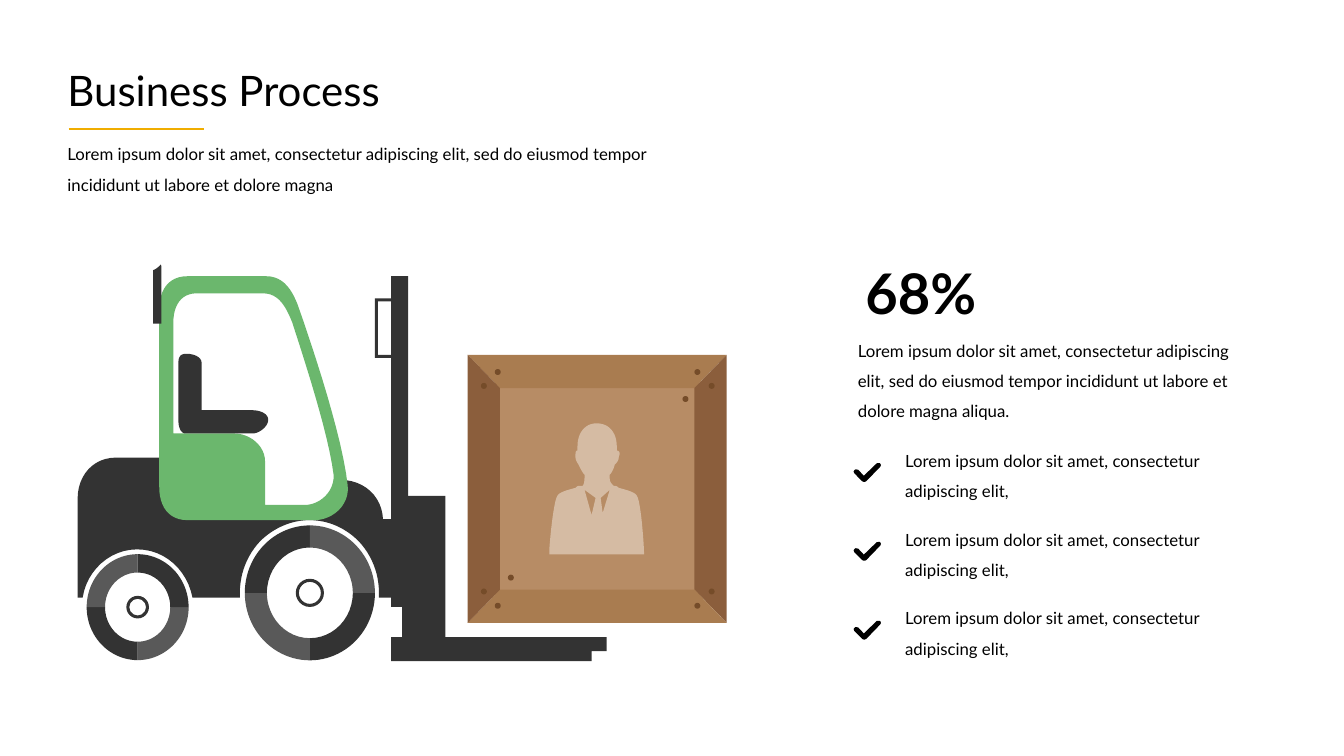
"""Build the Business Process slide with a forklift carrying a crate."""
from itertools import product
from lxml import etree
from pptx import Presentation
from pptx.dml.color import RGBColor as RGB
from pptx.enum.shapes import MSO_CONNECTOR as CONN, MSO_SHAPE as SHAPE
from pptx.enum.text import MSO_ANCHOR as ANCHOR, MSO_AUTO_SIZE as AUTO, PP_ALIGN as ALIGN
from pptx.oxml.ns import qn
from pptx.util import Cm, Pt

COLORS = {
    "text": "000000", "accent": "F0AD00", "white": "FFFFFF", "dark": "333333",
    "tyre": "595959", "cab": "6BB76D", "panel": "B78C65", "plank": "A97C50",
    "side": "8B5E3C", "bolt": "754C29", "person": "D5BBA3", "tick": "5A6378",
}
C = {name: RGB.from_string(value) for name, value in COLORS.items()}
UNIT = Cm(2.54) / 100

prs = Presentation()
prs.slide_width, prs.slide_height = Cm(33.87), Cm(19.05)
s = prs.slides.add_slide(prs.slide_layouts[1])


def paint(sp, color):
    """Give a shape a flat fill with no line and no shadow."""
    sp.shadow.inherit = False
    sp.fill.solid()
    sp.fill.fore_color.rgb = C[color]
    sp.line.fill.background()
    return sp


def outline(contours, color, dy=0):
    """Draw closed contours; a step of two numbers is a line, of six a curve."""
    pen = None
    for contour in contours:
        pts = []
        for step in contour.split(", "):
            n = [float(v) for v in step.split()]
            if len(n) == 2:
                pts.append((n[0], n[1]))
                continue
            x, y = pts[-1]
            for t in [k / 12 for k in range(1, 13)]:
                w = (1 - t) ** 3, 3 * t * (1 - t) ** 2, 3 * t * t * (1 - t), t ** 3
                pts.append((sum(a * b for a, b in zip(w, (x, *n[::2]))),
                            sum(a * b for a, b in zip(w, (y, *n[1::2])))))
        pts = [(px * UNIT, (py + dy) * UNIT) for px, py in pts]
        if pen is None:
            pen = s.shapes.build_freeform(*pts[0], scale=1.0)
        else:
            pen.move_to(*pts[0])
        pen.add_line_segments(pts[1:], close=True)
    return paint(pen.convert_to_shape(), color)


disc = s.shapes.add_shape(SHAPE.OVAL, Cm(2.51), Cm(14.33), Cm(1.88), Cm(1.96))
paint(disc, "white")
wheels = [
    (7.81, 14.94, 3.28, 3.4, 0.17, 0.71, 0.11, ["dark", "tyre"]),
    (3.47, 15.3, 2.57, 2.67, 0.18, 0.57, 0.13, ["tyre", "dark"]),
]
for x, y, w, h, tread, hub, rim, shades in wheels:
    for i in range(4):
        sp = s.shapes.add_shape(SHAPE.BLOCK_ARC, Cm(x - w / 2), Cm(y - h / 2), Cm(w), Cm(h))
        for k, value in enumerate((i * 54, (i + 1) % 4 * 54, tread)):
            sp.adjustments[k] = value
        paint(sp, shades[i % 2])
    sp = s.shapes.add_shape(SHAPE.DONUT, Cm(x - hub / 2), Cm(y - hub / 2), Cm(hub), Cm(hub))
    sp.adjustments[0] = rim
    paint(sp, "dark")

body = ("115 454, 171 454, 193 454 214 471 214 495, 214 515, 279 515, 274 513, 323 510, "
        "337 476, 362 476 379 493 380 515, 388 515, 388 355, 372 355, 372 296, 388 296, "
        "388 274, 405 274, 405 602, 388 602, 388 593, 376 593, 376 588, "
        "376 569 369 551 356 537, 343 524 326 516 307 516, 289 516 271 524 258 537, "
        "245 551 238 569 238 588, 238 593, 191 593, 186 566 164 545 136 545, "
        "109 545 86 566 82 593, 77 593, 77 495, 77 471 93 454 115 454")
cab = ("158 483, 158 502 167 516 186 516, 312 516, 330 516 347 501 345 482, "
       "340 434 311 347 297 307, 291 289 282 274 264 274, 186 274, "
       "167 274 158 288 158 307")
window = ("232 430, 172 430, 172 320, 172 304 179 291 195 291, 261 291, "
          "277 291 284 305 290 320, 301 354 326 430 331 471, "
          "332 487 318 501 302 501, 263 501, 263 458, 263 442 248 430 232 430")
seat = ("185 351, 192 351 200 354 200 360, 200 407, 251 407, 257 407 266 410 266 416, "
        "266 417, 266 423 257 430 251 430, 184 430, 179 430 177 423 177 417, "
        "177 360, 177 354 179 351 185 351")
exhaust = "152 321, 152 268, 155 267 157 265 159 263, 159 262 160 263 160 264, 160 321"
fork = ("399 632, 399 492, 442 492, 442 632, 602 632, 602 646, 587 646, 587 656, "
        "388 656, 388 632")
outline([body, "388 299, 375 299, 375 352, 388 352"], "dark")
outline([cab, window], "cab")
for part in (seat, exhaust, fork):
    outline([part], "dark")

panel = s.shapes.add_shape(SHAPE.RECTANGLE, Cm(12.47), Cm(9.65), Cm(5.18), Cm(5.49))
paint(panel, "panel")
outer = ["464 352", "721 352", "721 618", "464 618"]
inner = ["496 385", "689 385", "689 585", "496 585"]
for i, color in enumerate(["plank", "side"] * 2):
    j = (i + 1) % 4
    outline([", ".join((outer[i], outer[j], inner[j], inner[i]))], color)

bolts = [*product((12.47, 17.5), (9.3, 15.19)), *product((12.12, 17.86), (9.65, 14.83)),
         (17.2, 9.98), (12.8, 14.48)]
for x, y in bolts:
    paint(s.shapes.add_shape(SHAPE.OVAL, Cm(x), Cm(y), Cm(0.15), Cm(0.15)), "bolt")

person = ("553 492, 555 488 564 486 571 484, 573 482 574 482 576 482, 578 482, "
          "580 480 580 476 580 471, 578 469 576 465 574 461, 573 459 571 457 571 453, "
          "571 449 571 447 573 447, 573 443, 573 430 580 420 592 420, "
          "605 420 612 430 612 443, 612 447, 614 447 616 449 614 453, "
          "614 457 612 459 610 461, 609 465 607 469 605 471, 605 475, "
          "605 478 607 480 607 480, 609 482, 610 482 612 482 614 484, "
          "621 486 630 488 632 492, 636 498 639 541 639 548, 639 550, 545 550, "
          "545 548, 545 541 549 498 553 492")
outline([person, "591 494, 580 486, 587 511", "598 509, 605 486, 596 494"], "person")

for i in range(3):
    tick = outline(["871.5 461, 857 475, 850 467.5, 849 468, 857 476, 858 476, 872 461.5"],
                   "tick", dy=78.2 * i)
    tick.line.color.rgb = C["text"]
    tick.line.width = Pt(3)

rule = s.shapes.add_connector(CONN.STRAIGHT, Cm(1.73), Cm(3.25), Cm(5.13), Cm(3.25))
rule.line.color.rgb = C["accent"]
rule.line.width = Pt(2)
etree.SubElement(rule._element.spPr, qn("a:effectLst"))

intro = "Lorem ipsum dolor sit amet, consectetur adipiscing elit, sed do eiusmod tempor incididunt ut labore et dolore magna"
item = "Lorem ipsum dolor sit amet, consectetur adipiscing elit,"
texts = [
    (s.shapes.title, (1.7, 1.78, 10.24, 1.57), ["Business Process"], 30, 0.9),
    (s.placeholders[1], (22.81, 11.1, 8.2, 5.54), [item] * 3, 12, 1.5),
    (None, (1.7, 3.38, 14.66, 1.55), [intro], 12, 1.5),
    (None, (21.62, 8.33, 9.73, 2.31), [intro + " aliqua."], 12, 1.5),
    (None, (21.81, 6.51, 3.1, 1.71), ["68%"], 40, 1.0),
]
for sp, box, lines, size, spacing in texts:
    sp = sp or s.shapes.add_textbox(0, 0, 0, 0)
    sp.left, sp.top, sp.width, sp.height = [Cm(v) for v in box]
    tf = sp.text_frame
    frame = {"word_wrap": size != 40, "auto_size": AUTO.NONE, "vertical_anchor": ANCHOR.TOP,
             "margin_left": 0, "margin_right": 0, "margin_top": 0, "margin_bottom": 0}
    for name, value in frame.items():
        setattr(tf, name, value)
    for i, line in enumerate(lines):
        p = tf.paragraphs[0] if i == 0 else tf.add_paragraph()
        pPr = p._p.get_or_add_pPr()
        pPr.set("marL", "0")
        pPr.set("indent", "0")
        etree.SubElement(pPr, qn("a:buNone"))
        para = {"alignment": ALIGN.LEFT, "line_spacing": spacing,
                "space_before": Pt(13 if i else 0), "space_after": Pt(0)}
        for name, value in para.items():
            setattr(p, name, value)
        r = p.add_run()
        r.text = line
        font = {"name": "Lato", "size": Pt(size), "bold": size == 40}
        for name, value in font.items():
            setattr(r.font, name, value)
        r.font.color.rgb = C["text"]

prs.save("out.pptx")
